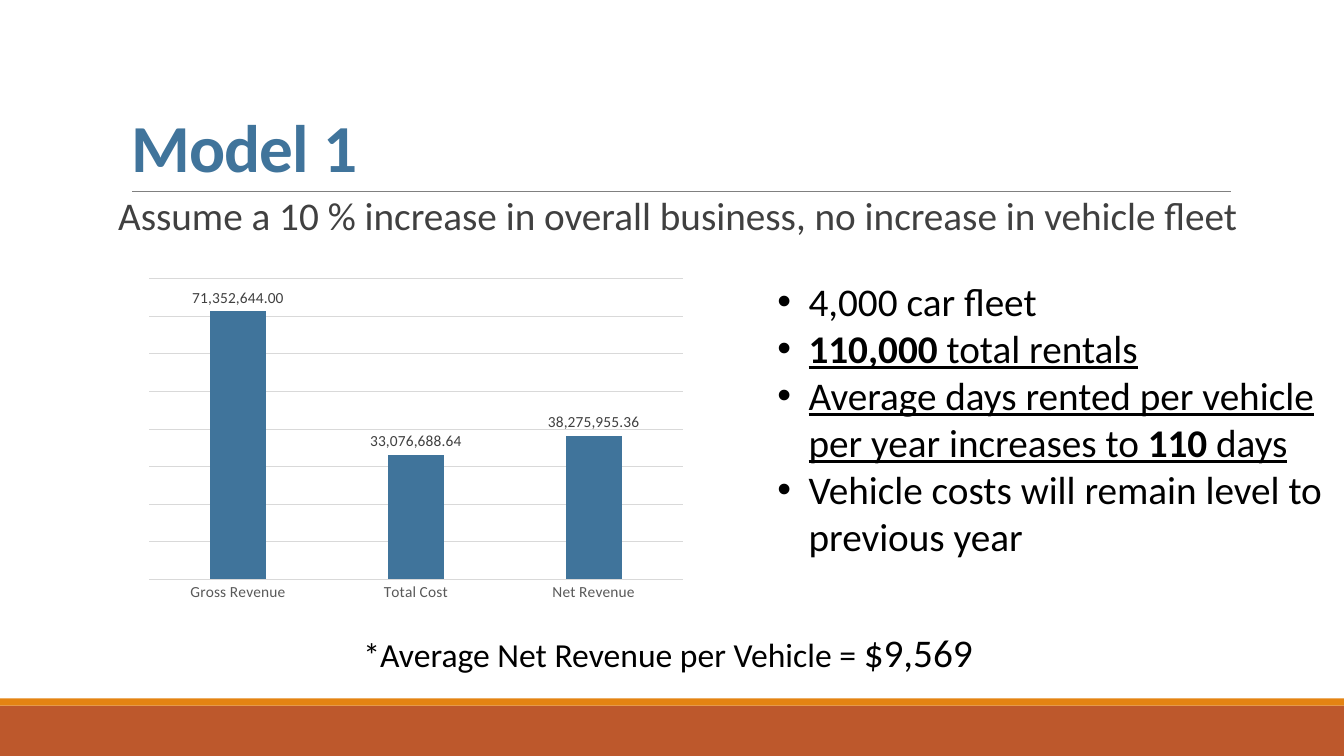
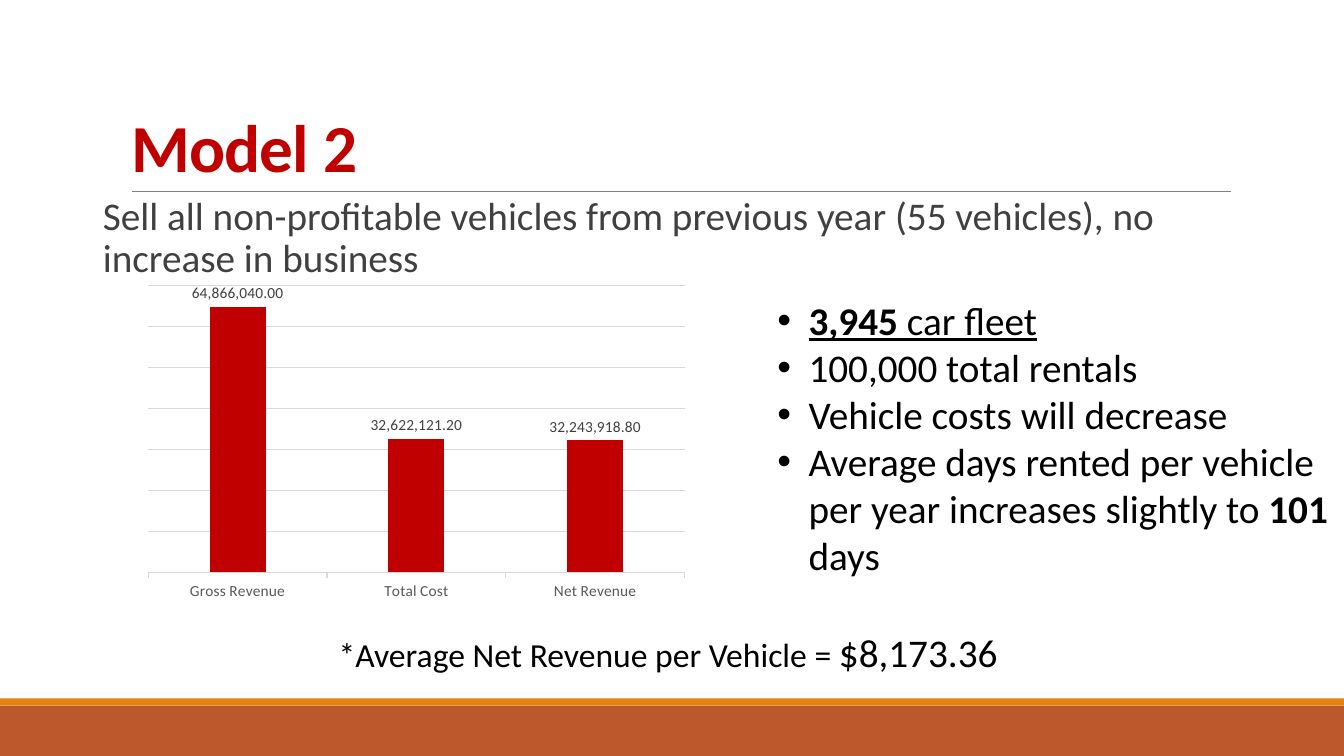
from pptx import Presentation
from pptx import util as u
from pptx.chart import data
from pptx.dml.color import RGBColor
from pptx.enum import chart as charts, shapes, text
from pptx.oxml.ns import qn
from lxml import etree

COLORS = {
    "rust": "BD582C", "orange": "E48312", "rule": "808080", "blue": "40749B",
    "red": "C00000", "black": "000000", "body": "404040", "axis": "595959",
    "grid": "D9D9D9",
}
FONT = "Calibri"
NUMBER_FORMAT = "#,##0.00"
CATEGORIES = ["Gross Revenue", "Total Cost", "Net Revenue"]
LEFT, CENTER = text.PP_ALIGN.LEFT, text.PP_ALIGN.CENTER


def apply(target, values):
    for name, value in values.items():
        setattr(target, name, value)


def rgb(name):
    return RGBColor.from_string(COLORS[name])


class Slides:
    def __init__(self):
        self.deck = Presentation()
        self.deck.slide_width = u.Inches(13.33)
        self.deck.slide_height = u.Inches(7.5)
        self.page = None

    def new_page(self):
        self.page = self.deck.slides.add_slide(self.deck.slide_layouts[3])
        self.band(7, 0.5, "rust")
        self.band(6.93, 0.07, "orange")
        self.rule(1.31, 12.21, 1.9)

    def band(self, top, height, color):
        band = self.page.shapes.add_shape(
            shapes.MSO_SHAPE.RECTANGLE, 0, u.Inches(top),
            self.deck.slide_width, u.Inches(height))
        band.shadow.inherit = False
        band.fill.solid()
        band.fill.fore_color.rgb = rgb(color)
        band.line.fill.background()

    def rule(self, left, right, top):
        rule = self.page.shapes.add_connector(
            shapes.MSO_CONNECTOR.STRAIGHT, u.Inches(left), u.Inches(top),
            u.Inches(right), u.Inches(top))
        self.line(rule.line, "rule", 0.5)
        etree.SubElement(rule._element.spPr, qn("a:effectLst"))

    def line(self, line, color, width):
        line.color.rgb = rgb(color)
        line.width = u.Pt(width)

    def font(self, font, size, color, **extra):
        apply(font, dict(name=FONT, size=u.Pt(size), **extra))
        font.color.rgb = rgb(color)

    def frame(self, box, place, inset=0.1, anchor=text.MSO_ANCHOR.TOP):
        apply(box, dict(zip(("left", "top", "width", "height"), map(u.Inches, place))))
        apply(box.text_frame, {
            "word_wrap": True, "auto_size": text.MSO_AUTO_SIZE.NONE,
            "vertical_anchor": anchor,
            "margin_left": u.Inches(inset), "margin_right": u.Inches(inset),
            "margin_top": u.Inches(0.05), "margin_bottom": u.Inches(0.05)})
        return box.text_frame

    def add_span(self, para, wording, size, color, **extra):
        span = para.add_run()
        span.text = wording
        self.font(span.font, size, color, **extra)
        return span

    def spacing(self, para, alignment, line=1.0, before=0, after=0):
        apply(para, {"alignment": alignment, "line_spacing": line,
                     "space_before": u.Pt(before), "space_after": u.Pt(after)})

    def bullet(self, para, margin, indent, mark=None):
        props = para._p.get_or_add_pPr()
        props.set("marL", str(u.Inches(margin)))
        props.set("indent", str(u.Inches(indent)))
        if mark:
            etree.SubElement(props, qn("a:buFont"), typeface="Arial")
            etree.SubElement(props, qn("a:buChar"), char=mark)
        else:
            etree.SubElement(props, qn("a:buNone"))

    def title(self, wording, color):
        frame = self.frame(self.page.shapes.title, (1.2, 0.31, 11, 1.59),
                           anchor=text.MSO_ANCHOR.BOTTOM)
        para = frame.paragraphs[0]
        self.spacing(para, LEFT, 0.85)
        span = self.add_span(para, wording, 48, color, bold=True)
        span._r.get_or_add_rPr().set("spc", "-50")

    def assumption(self, wording, alignment):
        frame = self.frame(self.page.placeholders[1], (0.92, 1.9, 11.5, 0.86), 0)
        para = frame.paragraphs[0]
        self.spacing(para, alignment, 0.9, 12, 2)
        self.bullet(para, 0.1, 0)
        self.add_span(para, wording, 28, "body")

    def points(self, items, top, height):
        frame = self.frame(self.page.placeholders[2], (7.61, top, 5.72, height))
        for index, item in enumerate(items):
            para = frame.add_paragraph() if index else frame.paragraphs[0]
            self.spacing(para, LEFT)
            self.bullet(para, 0.31, -0.31, "•")
            for wording, style in item:
                self.add_span(para, wording, 28, "black",
                              bold="b" in style, underline="u" in style)

    def result(self, amount):
        box = self.page.shapes.add_textbox(0, 0, 0, 0)
        para = self.frame(box, (3.05, 6.18, 7.24, 0.57)).paragraphs[0]
        para.alignment = CENTER
        self.add_span(para, "*Average Net Revenue per Vehicle = ", 24, "black")
        self.add_span(para, amount + " ", 28, "black")

    def revenue_chart(self, values, color, place, tick):
        numbers = data.CategoryChartData(number_format=NUMBER_FORMAT)
        numbers.categories = CATEGORIES
        numbers.add_series("Series 1", values)
        chart = self.page.shapes.add_chart(
            charts.XL_CHART_TYPE.COLUMN_CLUSTERED, *map(u.Inches, place), numbers).chart
        apply(chart, {"has_legend": False, "has_title": False})
        self.font(chart.font, 11, "black")

        plot = chart.plots[0]
        apply(plot, {"gap_width": 219, "overlap": -27,
                     "vary_by_categories": False, "has_data_labels": True})
        apply(plot.data_labels, {
            "show_value": True, "number_format": NUMBER_FORMAT,
            "number_format_is_linked": False,
            "position": charts.XL_LABEL_POSITION.OUTSIDE_END})
        self.font(plot.data_labels.font, 11, "body")
        fill = plot.series[0].format.fill
        fill.solid()
        fill.fore_color.rgb = rgb(color)

        apply(chart.category_axis, {
            "major_tick_mark": tick, "minor_tick_mark": charts.XL_TICK_MARK.NONE})
        self.font(chart.category_axis.tick_labels.font, 11, "axis")
        self.line(chart.category_axis.format.line, "grid", 0.75)
        apply(chart.value_axis, {
            "visible": False, "has_major_gridlines": True, "minimum_scale": 0})
        self.line(chart.value_axis.major_gridlines.format.line, "grid", 0.75)


MODELS = [
    {
        "title": "Model 1", "color": "blue", "alignment": CENTER,
        "assumption": "Assume a 10 % increase in overall business, "
                      "no increase in vehicle fleet",
        "points": [
            [("4,000 car fleet", "")],
            [("110,000", "bu"), (" total rentals", "u")],
            [("Average days rented per vehicle per year increases to ", "u"),
             ("110 ", "bu"), ("days", "u")],
            [("Vehicle costs will remain level to previous year", "")],
        ],
        "points_top": 2.7, "points_height": 3.87, "result": "$9,569",
        "values": (71352644, 33076688.64, 38275955.36),
        "chart_place": (1.37, 2.7, 5.51, 3.34), "tick": charts.XL_TICK_MARK.NONE,
    },
    {
        "title": "Model 2", "color": "red", "alignment": LEFT,
        "assumption": "Sell all non-profitable vehicles from previous year "
                      "(55 vehicles), no increase in business",
        "points": [
            [("3,945", "bu"), (" car fleet", "u")],
            [("100,000 total rentals", "")],
            [("Vehicle costs will decrease", "")],
            [("Average days rented per vehicle per year increases slightly to ", ""),
             ("101 ", "b"), ("days", "")],
        ],
        "points_top": 2.89, "points_height": 4.34, "result": "$8,173.36",
        "values": (64866040, 32622121.2, 32243918.8),
        "chart_place": (1.36, 2.77, 5.54, 3.26), "tick": charts.XL_TICK_MARK.OUTSIDE,
    },
]

slides = Slides()
for model in MODELS:
    slides.new_page()
    slides.title(model["title"], model["color"])
    slides.assumption(model["assumption"], model["alignment"])
    slides.points(model["points"], model["points_top"], model["points_height"])
    slides.result(model["result"])
    slides.revenue_chart(model["values"], model["color"],
                         model["chart_place"], model["tick"])
slides.deck.save("out.pptx")
